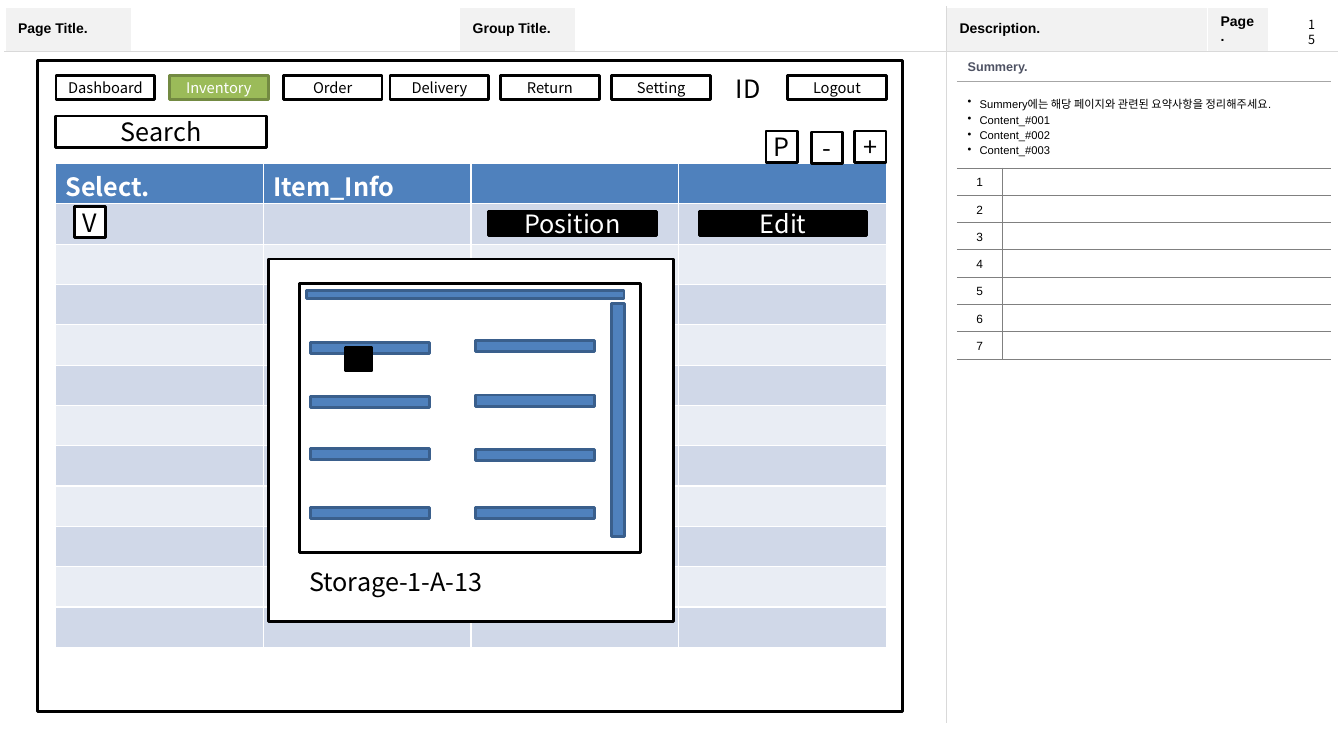
from lxml.etree import SubElement
from pptx import Presentation
from pptx.dml.color import RGBColor
from pptx.enum.shapes import MSO_SHAPE
from pptx.enum.text import MSO_ANCHOR, PP_ALIGN
from pptx.oxml.ns import qn
from pptx.util import Pt

BLACK = RGBColor(0, 0, 0)
WHITE = RGBColor(255, 255, 255)
PALE = RGBColor(0xF2, 0xF2, 0xF2)
RULE = RGBColor(0xD9, 0xD9, 0xD9)
GRAY = RGBColor(0x80, 0x80, 0x80)
SILVER = RGBColor(0xA6, 0xA6, 0xA6)
SLATE = RGBColor(0x4E, 0x52, 0x63)
GREEN = RGBColor(0x9B, 0xBB, 0x59)
OLIVE = RGBColor(0x73, 0x8A, 0x42)
BLUE = RGBColor(0x4F, 0x81, 0xBD)
NAVY = RGBColor(0x3A, 0x5F, 0x8C)
BAND = RGBColor(0xD0, 0xD8, 0xE8)
LIGHT = RGBColor(0xE9, 0xED, 0xF4)
SANS = "Arial"
NOTO = "Noto Sans CJK KR"


def write(frame, *lines, size=18, font=NOTO, color=BLACK, bold=False,
          align=PP_ALIGN.LEFT, space=None, bullet=False):
    """Fill a text frame with one paragraph per line."""
    for i, line in enumerate(lines):
        par = frame.add_paragraph() if i else frame.paragraphs[0]
        par.alignment = align
        if space:
            par.line_spacing = space
        if bullet:
            props = par._p.get_or_add_pPr()
            props.set("marL", str(Pt(8.5)))
            props.set("indent", str(-Pt(8.5)))
            SubElement(props, qn("a:buChar"), char="•")
        run = par.add_run()
        run.text = line
        run.font.size = Pt(size)
        run.font.name = font
        run.font.bold = bold
        run.font.color.rgb = color


def box(slide, x, y, w, h, label="", size=18, fill=WHITE, line=BLACK, color=BLACK):
    shape = slide.shapes.add_shape(MSO_SHAPE.RECTANGLE, Pt(x), Pt(y), Pt(w), Pt(h))
    shape.shadow.inherit = False
    shape.fill.solid()
    shape.fill.fore_color.rgb = fill
    shape.line.color.rgb = line
    shape.line.width = Pt(2)
    if label:
        frame = shape.text_frame
        frame.margin_left = frame.margin_right = 0
        frame.vertical_anchor = MSO_ANCHOR.MIDDLE
        write(frame, label, size=size, color=color, align=PP_ALIGN.CENTER)


def note(slide, x, y, w, h, label, **style):
    frame = slide.shapes.add_textbox(Pt(x), Pt(y), Pt(w), Pt(h)).text_frame
    frame.word_wrap = True
    write(frame, label, **style)


def grid(slide, x, y, cols, rows, head=False):
    """Add a table whose empty cells do not stretch their rows."""
    table = slide.shapes.add_table(len(rows), len(cols), Pt(x), Pt(y),
                                   Pt(sum(cols)), Pt(sum(rows))).table
    table.first_row = head
    table.horz_banding = False
    for col, width in zip(table.columns, cols):
        col.width = Pt(width)
    for row, height in zip(table.rows, rows):
        row.height = Pt(height)
    for cell in table.iter_cells():
        cell.fill.background()
        cell.vertical_anchor = MSO_ANCHOR.MIDDLE
        SubElement(cell.text_frame.paragraphs[0]._p, qn("a:endParaRPr"), sz="800")
    return table


def paint(cell, color):
    cell.fill.solid()
    cell.fill.fore_color.rgb = color


def edge(cell, **sides):
    """Draw thin borders; sides are L, R, T, B, given in that order."""
    props = cell._tc.get_or_add_tcPr()
    for i, (side, color) in enumerate(sides.items()):
        ln = SubElement(props, qn("a:ln" + side), w=str(Pt(0.25)))
        fill = SubElement(ln, qn("a:solidFill"))
        SubElement(fill, qn("a:srgbClr"), val=str(color))
        props.insert(i, ln)


def frame_page(slide):
    table = grid(slide, 3.6, 5, [90.7, 234, 82.8, 265, 186.5, 43.9, 49], [31.7, 480])
    titles = {0: "Page Title.", 2: "Group Title.", 4: "Description.", 5: "Page."}
    for i, title in titles.items():
        cell = table.cell(0, i)
        paint(cell, PALE)
        cell.margin_left = cell.margin_right = Pt(9.4)
        cell.margin_top = cell.margin_bottom = Pt(4)
        write(cell.text_frame, title, size=10, font=SANS, bold=True)
    table.cell(1, 0).merge(table.cell(1, 3))
    table.cell(1, 4).merge(table.cell(1, 6))
    for i in range(7):
        side = {3: {"R": RULE}, 4: {"L": RULE}}.get(i, {})
        edge(table.cell(0, i), **side, B=RULE)
        low = {0: {"R": RULE}}.get(i, side)
        edge(table.cell(1, i), **low, T=RULE)
    note(slide, 927.4, 8.6, 19.4, 18, "15", size=9)


def summary(slide):
    table = grid(slide, 684, 37.4, [31.7, 234.7], [20.5, 62] + [19.4] * 7)
    for i in range(2):
        table.cell(i, 0).merge(table.cell(i, 1))
    for i in range(2):
        edge(table.cell(0, i), B=SILVER)
        edge(table.cell(1, i), T=SILVER, B=GRAY)
    write(table.cell(0, 0).text_frame, "Summery.", size=9, font=SANS,
          color=SLATE, bold=True)
    write(table.cell(1, 0).text_frame,
          "Summery에는 해당 페이지와 관련된 요약사항을 정리해주세요.",
          *[f"Content_#00{i}" for i in range(1, 4)],
          size=8, font=SANS, align=PP_ALIGN.JUSTIFY, space=1.2, bullet=True)
    for i in range(1, 8):
        cell = table.cell(i + 1, 0)
        write(cell.text_frame, str(i), size=8.5, font=SANS,
              align=PP_ALIGN.CENTER, space=1.2)
        edge(cell, R=GRAY, T=GRAY, B=GRAY)
        edge(table.cell(i + 1, 1), L=GRAY, T=GRAY, B=GRAY)


def menu(slide):
    tabs = [("Dashboard", 40), ("Inventory", 121), ("Order", 202.3),
            ("Delivery", 278.6), ("Return", 357.5), ("Setting", 437), ("Logout", 562.5)]
    for label, x in tabs:
        style = {}
        if label == "Inventory":
            style = {"fill": GREEN, "line": OLIVE, "color": WHITE}
        box(slide, x, 54, 70.6, 17.3, label, size=10.5, **style)
    note(slide, 509, 49, 51, 29, "ID", align=PP_ALIGN.CENTER)
    box(slide, 39.6, 82.8, 151, 22.3, "Search")


def items(slide):
    table = grid(slide, 39.6, 116.8, [148.4] * 4, [28.8] * 12, head=True)
    for i in range(12):
        for j in range(4):
            paint(table.cell(i, j), (BAND if i % 2 else LIGHT) if i else BLUE)
    for j, title in enumerate(["Select.", "Item_Info"]):
        cell = table.cell(0, j)
        cell.vertical_anchor = MSO_ANCHOR.TOP
        cell.margin_top, cell.margin_bottom = Pt(2.7), 0
        write(cell.text_frame, title, color=WHITE, bold=True)
    for label, x in [("Position", 349.2), ("Edit", 499.7)]:
        box(slide, x, 151.2, 119.5, 17.3, label, fill=BLACK, color=WHITE)
    for label, x, y in [("P", 547.2, 93.6), ("-", 579.6, 94.3),
                        ("+", 610.6, 93.6), ("V", 53.3, 147.6)]:
        box(slide, x, y, 22.3, 22.3, label)


def popup(slide):
    box(slide, 191.5, 185, 289.5, 259.2)
    box(slide, 213.8, 202.3, 244, 192.2)
    # Walls and shelves
    walls = [(218.9, 207.4, 226.8, 5.8), (437, 216.7, 9.4, 166.3)]
    left = [(221.8, y, 85, 7.9) for y in (244.8, 283, 320.4, 362.2)]
    right = [(339.8, y, 85, 7.9) for y in (243.4, 282.2, 321.1, 362.2)]
    for place in walls + left + right:
        box(slide, *place, fill=BLUE, line=NAVY)
    # Marked spot
    box(slide, 247, 248.4, 18.7, 16.6, fill=BLACK)
    note(slide, 213.8, 401, 153.4, 29, "Storage-1-A-13")


def main():
    deck = Presentation()
    deck.slide_width, deck.slide_height = Pt(960), Pt(540)
    slide = deck.slides.add_slide(deck.slide_layouts[6])
    frame_page(slide)
    summary(slide)
    # Screen mock-up
    box(slide, 26.6, 43.2, 617.8, 465.1)
    menu(slide)
    items(slide)
    popup(slide)
    deck.save("out.pptx")


main()
